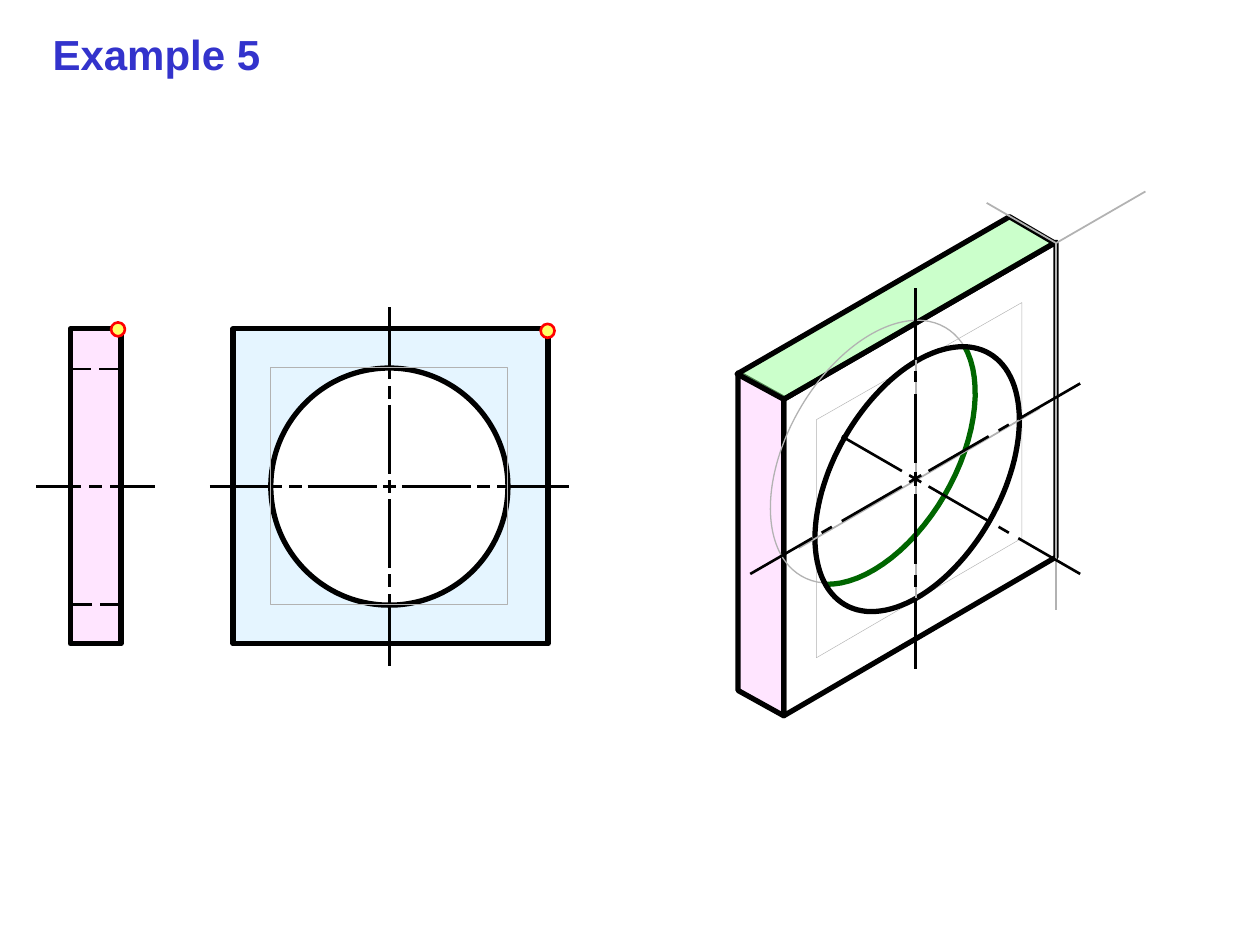
"""Draw Example 5: a plate with a round hole in two views and in isometric projection."""
import math
from dataclasses import dataclass
from typing import Any, Optional

import lxml.etree
import pptx
import pptx.dml.color
import pptx.enum.dml
import pptx.enum.shapes
import pptx.enum.text
import pptx.oxml.ns
import pptx.util

Point = tuple[float, float]
Span = tuple[float, float]
Cm = pptx.util.Cm
Kind = pptx.enum.shapes.MSO_SHAPE


@dataclass(frozen=True)
class Theme:
    ink: str = "000000"
    guide: str = "B2B2B2"
    paper: str = "FFFFFF"
    side: str = "FFCCFF"
    front: str = "CCECFF"
    top: str = "99FF99"
    hidden_arc: str = "006600"
    dot: str = "FFFF66"
    dot_edge: str = "FF0000"
    title: str = "3333CC"
    font: str = "Arial"
    title_size: float = 24
    thick: float = 3
    medium: float = 1.5
    thin: float = 1
    fine: float = 0.75
    hair: float = 0.25


THEME = Theme()


@dataclass(frozen=True)
class Style:
    line: str = THEME.ink
    width: float = THEME.thick
    fill: Optional[str] = None
    opacity: int = 100


@dataclass(frozen=True)
class Plain:
    kind: Any
    left: float
    top: float
    width: float
    height: float
    style: Style
    rotation: float = 0


@dataclass(frozen=True)
class Axis:
    center: Point
    degrees: float
    spans: tuple[Span, ...]


OUTLINE = Style()
GUIDE = Style(THEME.guide, THEME.thin)
HAIRLINE = Style(THEME.guide, THEME.hair)
AXIS = Style(width=THEME.medium)
DOT = Style(THEME.dot_edge, THEME.medium, THEME.dot)
SIDE = Style(fill=THEME.side, opacity=50)
FRONT = Style(fill=THEME.front, opacity=50)

VIEWS = (
    Plain(Kind.RECTANGLE, 1.42, 6.63, 1.02, 6.35, SIDE),
    Plain(Kind.RECTANGLE, 4.7, 6.63, 6.35, 6.35, FRONT),
    Plain(Kind.OVAL, 5.46, 7.42, 4.78, 4.78, Style(fill=THEME.paper)),
)
HIDDEN_EDGES = (((2.41, 7.44), (1.42, 7.44)), ((2.44, 12.19), (1.45, 12.19)))
FACES = (
    (((21.29, 11.23), (21.29, 4.88), (15.8, 8.05), (15.8, 14.43)), Style(fill=THEME.paper, opacity=50)),
    (((15.8, 14.43), (14.88, 13.92), (14.88, 7.52), (15.8, 8.03)), SIDE),
    (((15.8, 8.05), (14.86, 7.54), (20.35, 4.37), (21.26, 4.9)), Style(fill=THEME.top, opacity=50)),
)
CORNER = (21.29, 4.9)
RAY_ENDS = ((21.29, 12.29), (19.89, 4.09), (23.09, 3.86))
FRONT_BOX = Plain(Kind.RECTANGLE, 5.44, 7.41, 4.78, 4.78, HAIRLINE)
ISOMETRIC_BOX = ((20.6, 10.85), (20.6, 6.1), (16.46, 8.46), (16.46, 13.26))
REAR_ELLIPSE = Plain(Kind.OVAL, 14.71, 7.39, 5.79, 3.43, Style(THEME.guide, THEME.fine), 300)
DOTS = tuple(Plain(Kind.OVAL, left, top, 0.28, 0.28, DOT) for left, top in ((10.9, 6.53), (2.24, 6.5)))
REAR_CENTER = (17.6, 9.11)
HOLE_CENTER = (18.49, 9.66)
ISOMETRIC_GUIDES = (((18.47, 6.96), (18.47, 12.52)), ((16.1, 11.05), (20.96, 8.23)))


def both_sides(mark: float, *spans: Span) -> tuple[Span, ...]:
    """Mirror the spans about a short centre mark."""
    return ((-mark, mark), *spans, *((-far, -near) for near, far in spans))


FRONT_SPANS = both_sides(0.13, (0.25, 1.65), (1.77, 2.02), (2.17, 3.62))
ISOMETRIC_SPANS = both_sides(0.14, (0.31, 1.71), (1.94, 2.18), (2.4, 3.84))
VIEW_AXES = (
    Axis((1.93, 9.81), 0, both_sides(0.13, (0.29, 1.2))),
    Axis((7.85, 9.81), 0, FRONT_SPANS),
    Axis((7.85, 9.81), 90, FRONT_SPANS),
)
ISOMETRIC_AXES = (
    Axis((18.45, 9.65), 30, ISOMETRIC_SPANS[:5]),
    Axis((18.45, 9.65), -30, ISOMETRIC_SPANS),
    Axis((18.45, 9.65), 90, ISOMETRIC_SPANS),
)


def color(value: str) -> pptx.dml.color.RGBColor:
    """Turn a hexadecimal value into a colour."""
    return pptx.dml.color.RGBColor.from_string(value)


def apply_style(shape: Any, style: Style) -> None:
    """Set the line, fill, opacity and shadow of a shape."""
    shape.shadow.inherit = False
    shape.line.color.rgb = color(style.line)
    shape.line.width = pptx.util.Pt(style.width)
    if style.fill is None:
        shape.fill.background()
        return
    shape.fill.solid()
    shape.fill.fore_color.rgb = color(style.fill)
    if style.opacity < 100:
        qn = pptx.oxml.ns.qn
        fill_color = shape.element.spPr.find(qn("a:solidFill"))[0]
        lxml.etree.SubElement(fill_color, qn("a:alpha")).set("val", str(style.opacity * 1000))


def draw_plain(slide: Any, plain: Plain) -> None:
    """Draw a preset shape."""
    frame = (Cm(value) for value in (plain.left, plain.top, plain.width, plain.height))
    shape = slide.shapes.add_shape(plain.kind, *frame)
    shape.rotation = plain.rotation
    apply_style(shape, plain.style)


def draw_outline(slide: Any, points: tuple[Point, ...], style: Style, close: bool = True) -> None:
    """Draw a freeform through the points."""
    corners = [(Cm(x), Cm(y)) for x, y in points]
    builder = slide.shapes.build_freeform(*corners[0])
    builder.add_line_segments(corners[1:], close=close)
    apply_style(builder.convert_to_shape(), style)


def draw_arc(slide: Any, center: Point, start: float, end: float, style: Style) -> None:
    """Draw part of the isometric circle between two angles in degrees."""
    steps = 30
    angles = [math.radians(start + (end - start) * step / steps) for step in range(steps + 1)]
    points = tuple(
        (center[0] + 2.06 * math.cos(angle), center[1] - 1.19 * math.cos(angle) + 2.39 * math.sin(angle))
        for angle in angles
    )
    draw_outline(slide, points, style, close=False)


def draw_line(slide: Any, start: Point, end: Point, style: Style, dashed: bool = False) -> None:
    """Draw a straight line without a shadow."""
    ends = (Cm(value) for value in (*start, *end))
    line = slide.shapes.add_connector(pptx.enum.shapes.MSO_CONNECTOR.STRAIGHT, *ends)
    line.line.color.rgb = color(style.line)
    line.line.width = pptx.util.Pt(style.width)
    if dashed:
        line.line.dash_style = pptx.enum.dml.MSO_LINE.LONG_DASH
    lxml.etree.SubElement(line.element.spPr, pptx.oxml.ns.qn("a:effectLst"))


def draw_axis(slide: Any, axis: Axis) -> None:
    """Draw the pieces of a centre line."""
    x, y = axis.center
    across, down = math.cos(math.radians(axis.degrees)), math.sin(math.radians(axis.degrees))
    for span in axis.spans:
        start, end = ((x + across * offset, y + down * offset) for offset in span)
        draw_line(slide, start, end, AXIS)


def draw_text(slide: Any, text: str, *, left: float, top: float, width: float, height: float,
              size: float, fill: str, bold: bool) -> None:
    """Draw one line of text."""
    box = slide.shapes.add_textbox(Cm(left), Cm(top), Cm(width), Cm(height))
    box.text_frame.word_wrap = False
    box.text_frame.auto_size = pptx.enum.text.MSO_AUTO_SIZE.SHAPE_TO_FIT_TEXT
    paragraph = box.text_frame.paragraphs[0]
    run = paragraph.add_run()
    run.text = text
    run.font.name = THEME.font
    run.font.size = pptx.util.Pt(size)
    run.font.bold = bold
    run.font.color.rgb = color(fill)


def main() -> None:
    """Build and save the slide."""
    presentation = pptx.Presentation()
    presentation.slide_width, presentation.slide_height = Cm(25.4), Cm(19.05)
    slide = presentation.slides.add_slide(presentation.slide_layouts[6])
    for plain in VIEWS:
        draw_plain(slide, plain)
    for start, end in HIDDEN_EDGES:
        draw_line(slide, start, end, AXIS, dashed=True)
    for axis in VIEW_AXES:
        draw_axis(slide, axis)
    for points, style in FACES:
        draw_outline(slide, points, style)
    for end in RAY_ENDS:
        draw_line(slide, CORNER, end, GUIDE)
    draw_text(slide, "Example 5", left=0.81, top=0.46, width=4.7, height=1.27,
              size=THEME.title_size, fill=THEME.title, bold=True)
    draw_plain(slide, FRONT_BOX)
    draw_outline(slide, ISOMETRIC_BOX, HAIRLINE)
    draw_plain(slide, REAR_ELLIPSE)
    draw_arc(slide, REAR_CENTER, 118, -27, Style(THEME.hidden_arc))
    for dot in DOTS:
        draw_plain(slide, dot)
    for start in range(0, 360, 90):
        draw_arc(slide, HOLE_CENTER, start, start + 90, OUTLINE)
    for start, end in ISOMETRIC_GUIDES:
        draw_line(slide, start, end, GUIDE)
    for axis in ISOMETRIC_AXES:
        draw_axis(slide, axis)
    presentation.save("out.pptx")


if __name__ == "__main__":
    main()
